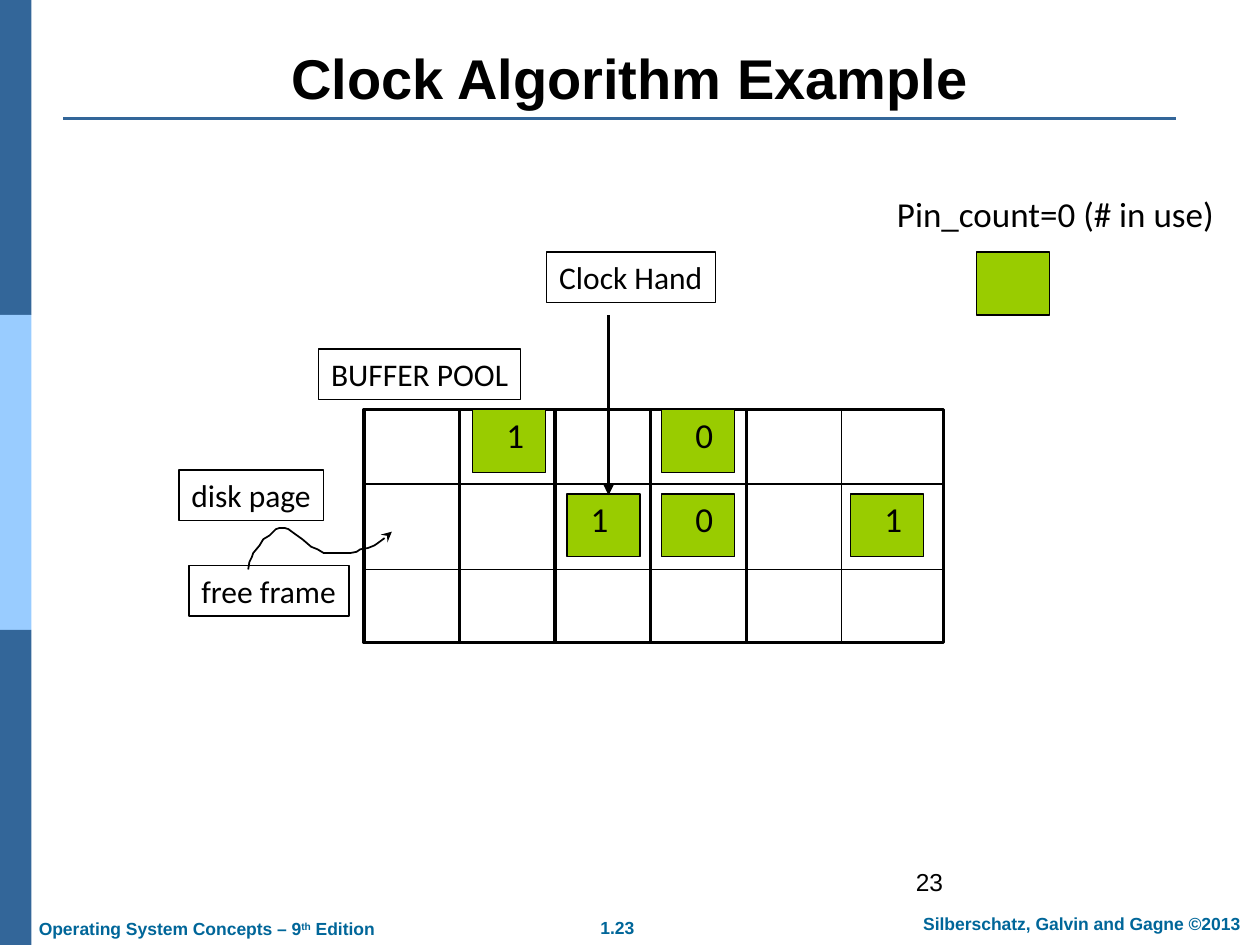
from pptx import Presentation
from pptx.dml.color import RGBColor
from pptx.enum.shapes import MSO_CONNECTOR as CONNECTOR, MSO_SHAPE as SHAPE
from pptx.enum.text import MSO_ANCHOR as ANCHOR, PP_ALIGN as ALIGN
from pptx.oxml.ns import qn
from pptx.util import Inches, Pt
from lxml.etree import SubElement

BLACK, GREEN, DARK_BLUE, LIGHT_BLUE, TEAL = "000000", "99CC00", "336699", "99CCFF", "006699"

# Content: text, left, top, width, height
labels = [
    ("disk page", 1.42, 3.73, 1.15, 0.4),
    ("free frame", 1.5, 4.49, 1.27, 0.4),
    ("BUFFER POOL", 2.53, 2.77, 1.6, 0.4),
    ("Clock Hand", 4.34, 2, 1.34, 0.4),
]
# Pages in the pool: pin count, column step, top, inset of the digit
pages = [
    ("1", 0, 3.25, 0.17),
    ("0", 2, 3.25, 0.17),
    ("1", 1, 3.92, 0.09),
    ("0", 2, 3.92, 0.17),
    ("1", 4, 3.92, 0.17),
]
page_left, page_step, page_size = 3.75, 0.75, (0.58, 0.5)
pool_left, pool_top, pool_width, pool_height = 2.89, 3.25, 4.6, 1.85
frame_count, frame_step, frame_width = 5, 0.76, 0.75
row_lines = [3.84, 4.52]
free_frame_curve = [
    (1.97, 4.52), (1.98, 4.46), (2, 4.42), (2.01, 4.39), (2.06, 4.33), (2.09, 4.28),
    (2.14, 4.25), (2.19, 4.2), (2.22, 4.19), (2.26, 4.19), (2.29, 4.2), (2.33, 4.23),
    (2.4, 4.28), (2.47, 4.34), (2.52, 4.36), (2.57, 4.39), (2.78, 4.39), (2.83, 4.38),
    (2.86, 4.36), (2.92, 4.35), (2.97, 4.33), (3, 4.31), (3.04, 4.28), (3.07, 4.26),
    (3.11, 4.22),
]

prs = Presentation()
prs.slide_width, prs.slide_height = Inches(10), Inches(7.5)
slide = prs.slides.add_slide(prs.slide_layouts[6])
shapes = slide.shapes


def color(hex_string):
    return RGBColor.from_string(hex_string)


def style_line(line, hex_string, width):
    line.color.rgb = color(hex_string)
    line.width = Pt(width)


def add_arrowhead(shape, kind):
    SubElement(shape.line._get_or_add_ln(), qn("a:tailEnd"), type=kind)


def add_box(left, top, width, height, fill=None, line=BLACK, weight=0.75):
    box = shapes.add_shape(SHAPE.RECTANGLE, *map(Inches, (left, top, width, height)))
    box.shadow.inherit = False
    if fill:
        box.fill.solid()
        box.fill.fore_color.rgb = color(fill)
    else:
        box.fill.background()
    if line:
        style_line(box.line, line, weight)
    else:
        box.line.fill.background()
    return box


def write(shape, parts, size, font="Calibri", hex_string=BLACK, bold=False,
          align=ALIGN.LEFT, anchor=ANCHOR.TOP, before=0, wrap=False):
    frame = shape.text_frame
    frame.word_wrap, frame.vertical_anchor = wrap, anchor
    paragraph = frame.paragraphs[0]
    paragraph.alignment, paragraph.space_before = align, Pt(before)
    for part in parts:
        run = paragraph.add_run()
        run.text = part
        run.font.name, run.font.size, run.font.bold = font, Pt(size), bold
        run.font.color.rgb = color(hex_string)
    return paragraph


def add_text(parts, left, top, width, height, size, **options):
    box = shapes.add_textbox(*map(Inches, (left, top, width, height)))
    return write(box, parts, size, **options)


def add_line(x1, y1, x2, y2, hex_string=BLACK, weight=1):
    line = shapes.add_connector(CONNECTOR.STRAIGHT, *map(Inches, (x1, y1, x2, y2)))
    style_line(line.line, hex_string, weight)
    SubElement(line._element.spPr, qn("a:effectLst"))
    return line


# Side band and title rule
for index, band in enumerate([DARK_BLUE, LIGHT_BLUE, DARK_BLUE]):
    add_box(0, 2.5 * index, 0.25, 2.5, band, None)
add_line(0.5, 0.94, 9.33, 0.94, DARK_BLUE, 1.5)

# Footer and slide number
footer = dict(size=10, font="Arial", hex_string=TEAL, bold=True, before=6.2)
add_text(["1.23"], 4.41, 7.23, 0.98, 0.27, align=ALIGN.CENTER, **footer)
add_text(["Silberschatz, Galvin and Gagne ©2013"], 7.1, 7.2, 2.97, 0.27,
         align=ALIGN.CENTER, wrap=True, **footer)
edition = add_text(["Operating System Concepts – 9", "th", " Edition"],
                   0.21, 7.24, 3.2, 0.27, wrap=True, **footer)
edition.runs[1]._r.get_or_add_rPr().set("baseline", "30000")
add_text(["23"], 7.17, 6.83, 2.33, 0.52, 14, font="Arial", wrap=True)

# Title
add_text(["Clock Algorithm Example"], 0.5, 0.3, 9, 0.63, 32, font="Arial", bold=True,
         align=ALIGN.CENTER, anchor=ANCHOR.BOTTOM, wrap=True)

# Buffer pool grid
add_box(pool_left, pool_top, pool_width, pool_height, weight=2)
for column in range(frame_count):
    add_box(pool_left + column * frame_step, pool_top, frame_width, pool_height, weight=1)
for y in row_lines:
    add_line(pool_left, y, pool_left + pool_width, y)

# Curve from the free frame label into the pool
start, *rest = [(Inches(x), Inches(y)) for x, y in free_frame_curve]
builder = shapes.build_freeform(*start)
builder.add_line_segments(rest, close=False)
curve = builder.convert_to_shape()
curve.shadow.inherit = False
curve.fill.background()
style_line(curve.line, BLACK, 1)
add_arrowhead(curve, "stealth")

# Pages with their pin counts
for count, step, top, inset in pages:
    left = page_left + step * page_step
    add_box(left, top, *page_size, GREEN)
    add_text([count], left + inset, top - 0.02, 0.34, 0.44, 20)

# Legend
add_box(7.75, 2, *page_size, GREEN)
add_text(["Pin_count=0 (# in use)"], 7.02, 1.48, 2.72, 0.44, 20)

# Clock hand and labels
clock_hand = add_line(4.83, 2.5, 4.83, 3.93, weight=2)
add_arrowhead(clock_hand, "triangle")
for text, *place in labels:
    write(add_box(*place), [text], 18)

prs.save("out.pptx")
